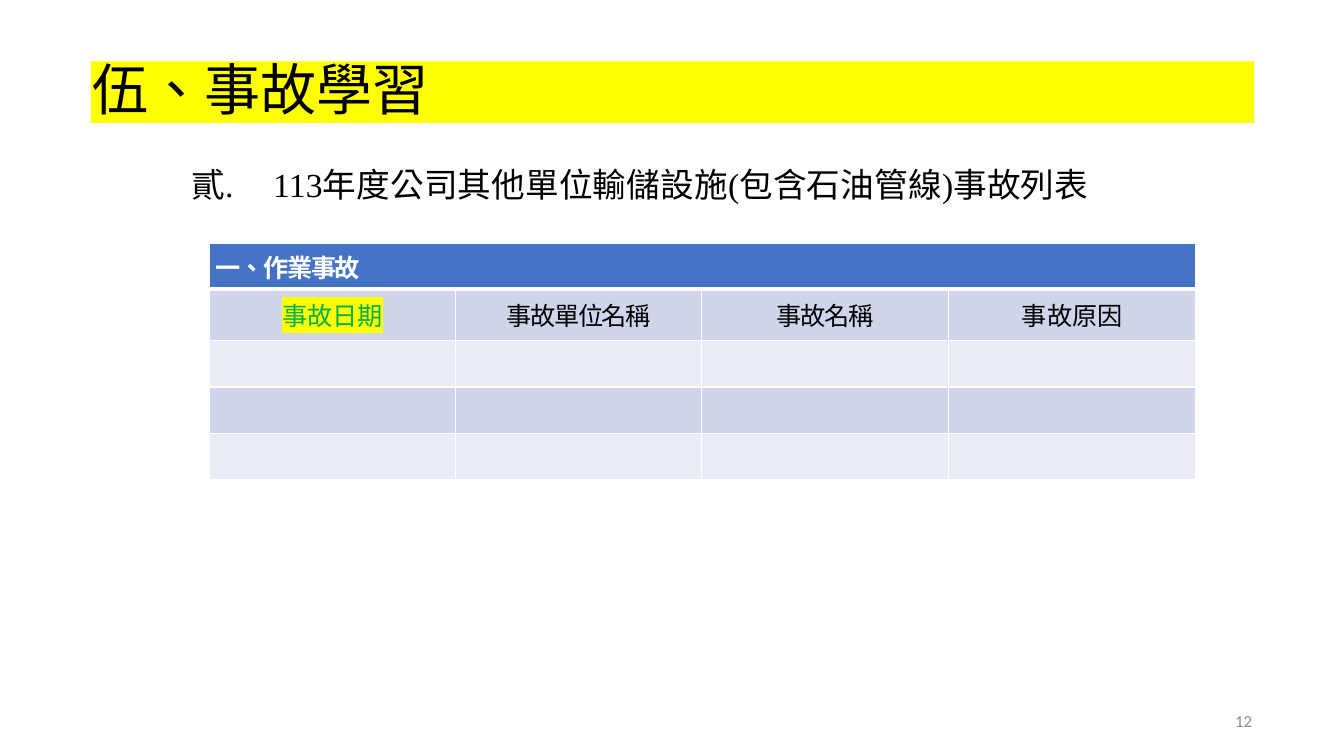
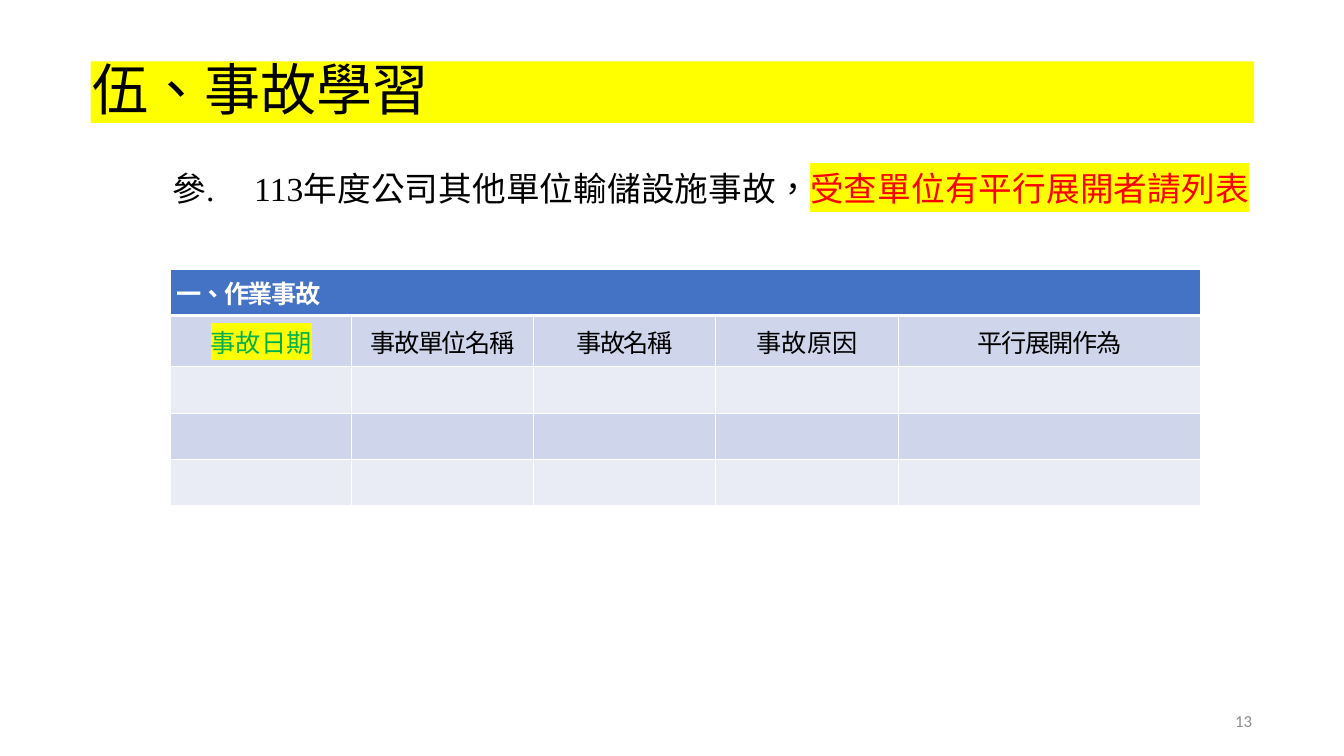
"""Build the two accident-learning slides with their report tables."""
import dataclasses

import lxml.etree
import pptx
import pptx.dml.color
import pptx.enum.shapes
import pptx.enum.text
import pptx.oxml.ns
import pptx.util

Inches = pptx.util.Inches
Pt = pptx.util.Pt
qn = pptx.oxml.ns.qn
Align = pptx.enum.text.PP_ALIGN
Anchor = pptx.enum.text.MSO_ANCHOR


@dataclasses.dataclass(frozen=True)
class Theme:
    black: str = "000000"
    white: str = "FFFFFF"
    yellow: str = "FFFF00"
    red: str = "FF0000"
    green: str = "00B050"
    gray: str = "8C8C8C"
    header: str = "4472C4"
    bands: tuple = ("CFD5EA", "E9EBF5")
    serif: str = "Times New Roman"
    sans: str = "Calibri"
    chinese: str = "Noto Sans CJK SC"
    title_size: int = 40
    heading_size: int = 24
    table_size: int = 18
    number_size: int = 12


THEME = Theme()


def rgb(color):
    return pptx.dml.color.RGBColor.from_string(color)


def add_text(para, text, *, size, font, color=THEME.black, bold=False,
             spacing=0, highlight=None):
    span = para.add_run()
    span.text = text
    span.font.size = Pt(size)
    span.font.bold = bold
    span.font.color.rgb = rgb(color)
    span.font.name = font
    properties = span.font._element
    properties.set("lang", "zh-TW")
    properties.set("spc", str(round(spacing * 100)))
    latin = properties.find(qn("a:latin"))
    east_asian = lxml.etree.Element(qn("a:ea"))
    east_asian.set("typeface", THEME.chinese)
    latin.addnext(east_asian)
    if highlight:
        mark = lxml.etree.Element(qn("a:highlight"))
        lxml.etree.SubElement(mark, qn("a:srgbClr")).set("val", highlight)
        latin.addprevious(mark)


def set_borders(cell, **widths):
    properties = cell._tc.get_or_add_tcPr()
    for index, side in enumerate("LRTB"):
        line = lxml.etree.Element(qn(f"a:ln{side}"))
        line.set("w", str(Pt(widths.get(side, 1))))
        fill = lxml.etree.SubElement(line, qn("a:solidFill"))
        lxml.etree.SubElement(fill, qn("a:srgbClr")).set("val", THEME.white)
        properties.insert(index, line)


class SlideBuilder:
    def __init__(self, deck):
        self.deck = deck
        self.page = None

    def start_page(self, number):
        self.page = self.deck.slides.add_slide(self.deck.slide_layouts[6])
        self.add_title("伍、事故學習")
        self.add_number(number)

    def add_box(self, left, top, width, height, *, anchor=Anchor.TOP, grow=False):
        box = self.page.shapes.add_textbox(
            Inches(left), Inches(top), Inches(width), Inches(height))
        frame = box.text_frame
        frame.word_wrap = True
        frame.vertical_anchor = anchor
        frame.margin_left = frame.margin_right = 0
        frame.margin_top = frame.margin_bottom = 0
        if grow:
            frame.auto_size = pptx.enum.text.MSO_AUTO_SIZE.SHAPE_TO_FIT_TEXT
        return box

    def add_title(self, text):
        box = self.add_box(0.9, 0.61, 11.54, 0.61, anchor=Anchor.MIDDLE, grow=True)
        box.fill.solid()
        box.fill.fore_color.rgb = rgb(THEME.yellow)
        para = box.text_frame.paragraphs[0]
        para.line_spacing = 0.9
        para._p.get_or_add_pPr().set("marL", str(Inches(0.02)))
        add_text(para, text, size=THEME.title_size, font=THEME.serif, spacing=0.1)

    def add_number(self, number):
        box = self.add_box(9.42, 6.95, 3, 0.4, anchor=Anchor.MIDDLE)
        para = box.text_frame.paragraphs[0]
        para.alignment = Align.RIGHT
        add_text(para, str(number), size=THEME.number_size, font=THEME.sans,
                 color=THEME.gray)

    def add_heading(self, left, top, width, start, text, emphasis=None):
        box = self.add_box(left, top, width, 0.4, grow=True)
        para = box.text_frame.paragraphs[0]
        properties = para._p.get_or_add_pPr()
        properties.set("marL", str(Inches(0.83)))
        properties.set("indent", str(Inches(-0.81)))
        bullet = lxml.etree.SubElement(properties, qn("a:buAutoNum"))
        bullet.set("type", "ea1ChtPeriod")
        bullet.set("startAt", str(start))
        style = dict(size=THEME.heading_size, font=THEME.serif, spacing=0.1)
        add_text(para, text, **style)
        if emphasis:
            add_text(para, emphasis, color=THEME.red, highlight=THEME.yellow, **style)

    def add_report_table(self, left, top, columns, caption, labels):
        heights = (0.46, 0.51, 0.46, 0.46, 0.46)
        table = self.page.shapes.add_table(
            len(heights), len(columns), Inches(left), Inches(top),
            Inches(sum(columns)), Inches(sum(heights))).table
        for column, width in zip(table.columns, columns):
            column.width = Inches(width)
        for index, (row, height) in enumerate(zip(table.rows, heights)):
            row.height = Inches(height)
            for cell in row.cells:
                self.style_cell(cell, index)
        table.cell(0, 0).merge(table.cell(0, len(columns) - 1))
        style = dict(size=THEME.table_size, font=THEME.chinese)
        add_text(table.cell(0, 0).text_frame.paragraphs[0], caption,
                 color=THEME.white, bold=True, spacing=-1, **style)
        for index, (label, look) in enumerate(labels):
            para = table.cell(1, index).text_frame.paragraphs[0]
            para.alignment = Align.CENTER
            add_text(para, label, **style, **look)

    def style_cell(self, cell, row):
        cell.vertical_anchor = Anchor.MIDDLE
        cell.margin_left = cell.margin_right = Inches(0.06)
        cell.margin_top = cell.margin_bottom = Inches(0.03)
        cell.fill.solid()
        color = THEME.bands[(row - 1) % 2] if row else THEME.header
        cell.fill.fore_color.rgb = rgb(color)
        set_borders(cell, T=3 if row == 1 else 1, B=1 if row else 3)


def main():
    deck = pptx.Presentation()
    deck.slide_width = Inches(13.33)
    deck.slide_height = Inches(7.5)
    builder = SlideBuilder(deck)
    caption = "一、作業事故"
    tight = dict(spacing=-1)
    labels = [
        ("事故日期", dict(color=THEME.green, highlight=THEME.yellow)),
        ("事故單位名稱", tight),
        ("事故名稱", tight),
        ("事故原因", {}),
    ]

    builder.start_page(12)
    builder.add_report_table(2.08, 2.41, (2.44, 2.44, 2.45, 2.45), caption, labels)
    builder.add_heading(1.88, 1.63, 10.24, 2,
                        "113年度公司其他單位輸儲設施(包含石油管線)事故列表")

    builder.start_page(13)
    builder.add_report_table(1.69, 2.67, (1.8, 1.8, 1.81, 1.81, 3), caption,
                             labels + [("平行展開作為", tight)])
    builder.add_heading(1.69, 1.67, 10.79, 3, "113年度公司其他單位輸儲設施事故，",
                        "受查單位有平行展開者請列表")

    deck.save("out.pptx")


if __name__ == "__main__":
    main()
